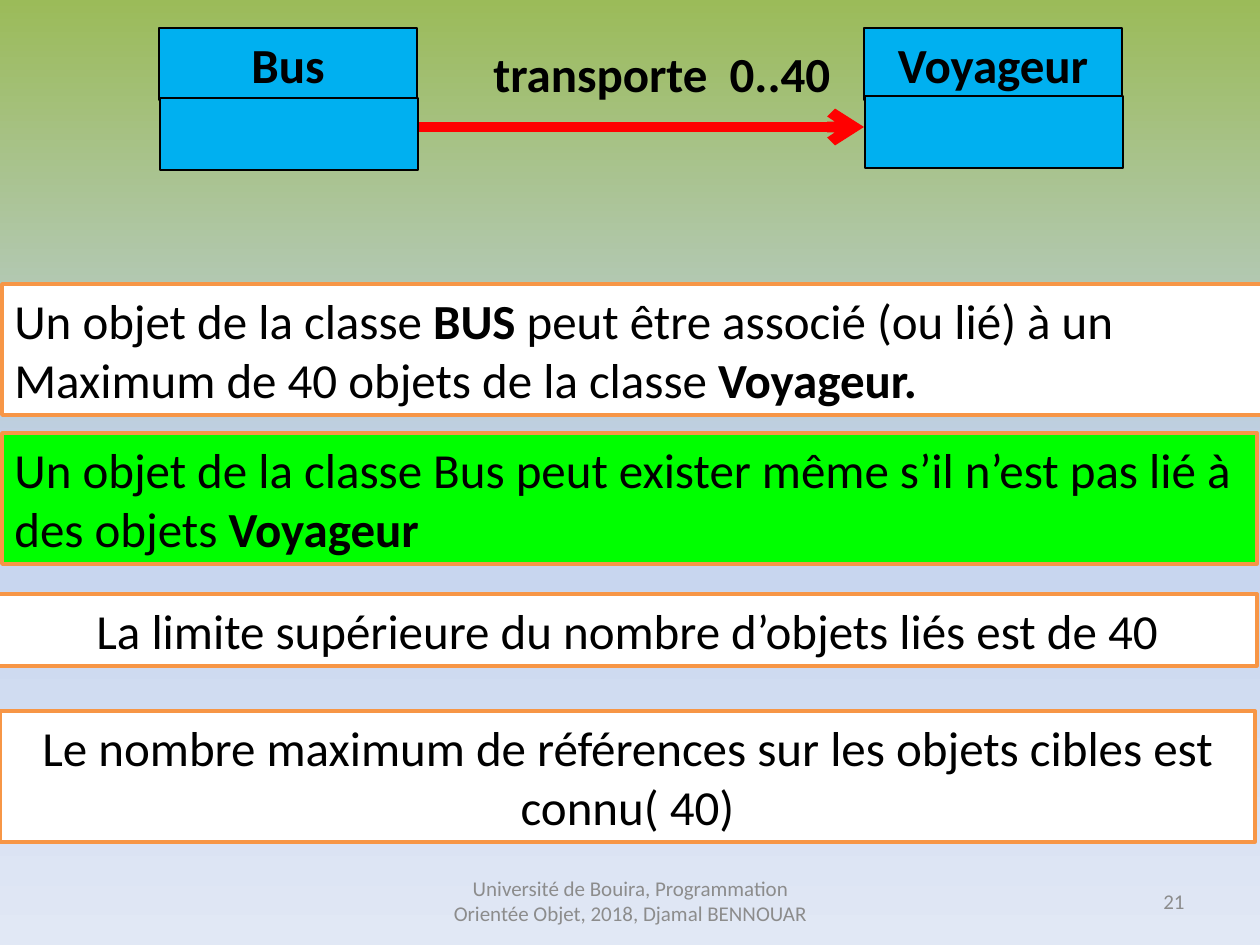
from copy import deepcopy

from lxml.etree import SubElement
from pptx import Presentation
from pptx.dml.color import RGBColor as RGB
from pptx.enum.shapes import MSO_CONNECTOR as Link, MSO_SHAPE as Preset
from pptx.enum.text import MSO_ANCHOR as Anchor, MSO_AUTO_SIZE as AutoSize, PP_ALIGN as Align
from pptx.oxml.ns import qn
from pptx.util import Pt

PX = 914400 / 126
COLORS = {
    "sky_top": "9BBB59", "sky_middle": "C2D1ED", "sky_bottom": "E1E8F5",
    "class": "00B0F0", "link": "FF0000", "note": "FFFFFF", "highlight": "00FF00",
    "border": "F79646", "ink": "000000", "footer": "8C8C8C",
}


def color(name):
    """Return the named palette colour."""
    return RGB.from_string(COLORS[name])


def emu(*lengths):
    """Convert px lengths to EMU."""
    return [round(length * PX) for length in lengths]


def write(shape, runs, size=28, ink="ink", align=Align.LEFT, anchor=Anchor.TOP,
          fit=AutoSize.SHAPE_TO_FIT_TEXT):
    """Fill a shape with one paragraph of (wording, bold) runs."""
    frame = shape.text_frame
    frame.word_wrap = True
    frame.auto_size = fit
    frame.vertical_anchor = anchor
    paragraph = frame.paragraphs[0]
    paragraph.alignment = align
    for wording, bold in runs:
        run = paragraph.add_run()
        run.text = wording
        run.font.name = "Calibri"
        run.font.size = Pt(size)
        run.font.bold = bold
        run.font.color.rgb = color(ink)


def add_panel(shapes, box, fill, border, weight):
    """Add a filled and outlined rectangle."""
    panel = shapes.add_shape(Preset.RECTANGLE, *emu(*box))
    panel.shadow.inherit = False
    panel.fill.solid()
    panel.fill.fore_color.rgb = color(fill)
    panel.line.color.rgb = color(border)
    panel.line.width = Pt(weight)
    return panel


def paint_background(slide):
    """Paint the three-stop vertical gradient."""
    fill = slide.background.fill
    fill.gradient()
    fill.gradient_angle = 270
    last_stop = slide.element.xpath(".//a:gs")[-1]
    last_stop.addnext(deepcopy(last_stop))
    shades = ((0, "sky_top"), (0.5, "sky_middle"), (1, "sky_bottom"))
    for stop, (position, shade) in zip(fill.gradient_stops, shades):
        stop.position = position
        stop.color.rgb = color(shade)


def add_class(slide, box, name):
    """Draw a UML class: a name cell over an empty attribute cell."""
    left, top, width, height = box
    cell = 72
    members = slide.shapes.add_group_shape().shapes
    heading = add_panel(members, (left, top, width, cell), "class", "ink", 0.75)
    write(heading, [(name, True)], align=Align.CENTER)
    add_panel(members, (left + 1, top + height - cell, width, cell), "class", "ink", 0.75)


def add_association(slide, box, label):
    """Draw the association arrow along the bottom of its box, with its label above."""
    left, top, width, height = box
    bottom = top + height
    arrow = slide.shapes.add_connector(
        Link.STRAIGHT, *emu(left, bottom, left + width, bottom))
    arrow.line.color.rgb = color("link")
    arrow.line.width = Pt(6)
    SubElement(arrow.line._get_or_add_ln(), qn("a:tailEnd"), type="arrow")
    SubElement(arrow._element.spPr, qn("a:effectLst"))
    caption = slide.shapes.add_textbox(*emu(left + 64, top, 410, 72))
    write(caption, [(label, True)])


def add_note(slide, box, fill, align, runs):
    """Add one bordered statement."""
    write(add_panel(slide.shapes, box, fill, "border", 2), runs, align=align)


def add_footer(slide, box, wording, align):
    """Add one grey footer field."""
    field = slide.shapes.add_textbox(*emu(*box))
    write(field, [(wording, False)], 12, "footer", align, Anchor.MIDDLE, AutoSize.NONE)


def main():
    """Build and save the slide."""
    deck = Presentation()
    deck.slide_width, deck.slide_height = emu(1260, 945)
    slide = deck.slides.add_slide(deck.slide_layouts[6])
    paint_background(slide)

    add_footer(slide, (431, 876, 399, 50),
               "Université de Bouira, Programmation Orientée Objet, 2018, Djamal BENNOUAR",
               Align.CENTER)
    add_footer(slide, (903, 876, 294, 50), "21", Align.RIGHT)

    add_association(slide, (417, 37, 447, 90), "transporte  0..40")
    add_class(slide, (159, 28, 258, 142), "Bus")
    add_class(slide, (864, 28, 258, 140), "Voyageur")

    notes = (
        ((2, 284, 1260, 131), "note", Align.LEFT, [
            ("Un objet de la classe ", False), ("BUS", True),
            (" peut être associé (ou lié) à un Maximum de 40 objets de la classe ", False),
            ("Voyageur.", True)]),
        ((2, 433, 1255, 131), "highlight", Align.LEFT, [
            ("Un objet de la classe Bus peut exister même s’il n’est pas lié à des objets ",
             False),
            ("Voyageur", True)]),
        ((-3, 594, 1260, 72), "note", Align.CENTER, [
            ("La limite supérieure du nombre d’objets liés est de 40", False)]),
        ((0, 711, 1255, 131), "note", Align.CENTER, [
            ("Le nombre maximum de références sur les objets cibles est connu( 40)", False)]),
    )
    for note in notes:
        add_note(slide, *note)

    deck.save("out.pptx")


if __name__ == "__main__":
    main()
